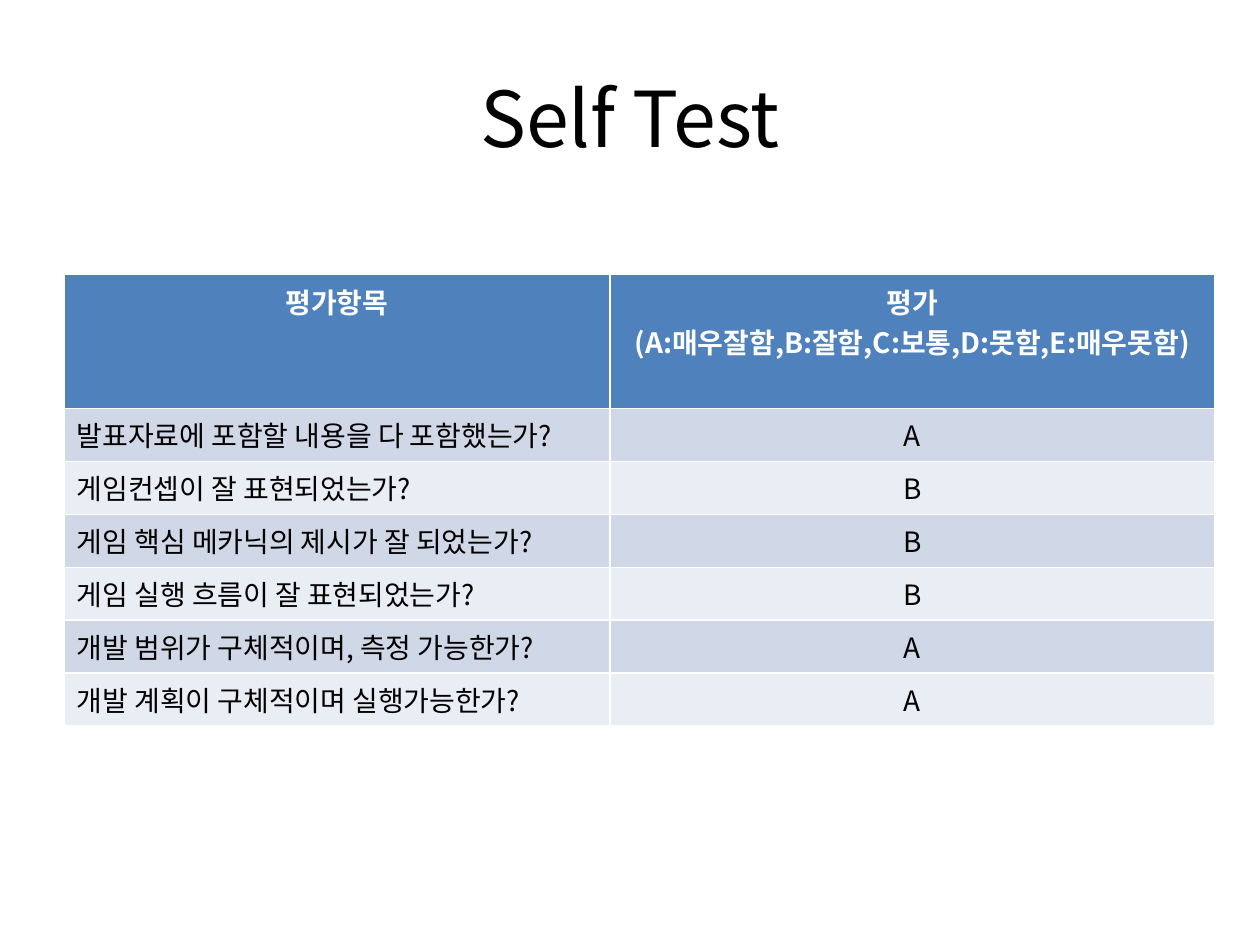
from pptx import Presentation
from pptx import util as u
from pptx.dml.color import RGBColor
from pptx.enum import text
from lxml import etree

BLACK = RGBColor(0x00, 0x00, 0x00)
WHITE = RGBColor(0xFF, 0xFF, 0xFF)
BLUE = RGBColor(0x4F, 0x81, 0xBD)
BANDS = [RGBColor(0xD0, 0xD8, 0xE8), RGBColor(0xE9, 0xED, 0xF4)]
FONT = "Noto Sans CJK KR"
NS = "http://schemas.openxmlformats.org/drawingml/2006/main"
LEFT = text.PP_ALIGN.LEFT
CENTER = text.PP_ALIGN.CENTER


class Deck:
    def __init__(self, deck):
        self.slide = deck.slides.add_slide(deck.slide_layouts[5])

    def label(self, frame, words, size, color, align, bold=False):
        frame.text = words
        for para in frame.paragraphs:
            para.alignment = align
            font = para.font
            font.size = u.Pt(size)
            font.bold = bold
            font.color.rgb = color
            font.name = FONT
            for props in para._p.iter("{%s}defRPr" % NS):
                etree.SubElement(props, "{%s}ea" % NS, typeface=FONT)

    def title(self, words, box):
        title = self.slide.shapes.title
        title.left, title.top, title.width, title.height = map(u.Inches, box)
        title.text_frame.vertical_anchor = text.MSO_ANCHOR.MIDDLE
        self.label(title.text_frame, words, 44, BLACK, CENTER)

    def table(self, rows, left, top, widths, height):
        table = self.slide.shapes.add_table(
            len(rows), len(widths), u.Inches(left), u.Inches(top),
            u.Inches(sum(widths)), u.Inches(height * len(rows))).table
        for col, width in zip(table.columns, widths):
            col.width = u.Inches(width)
        for r, row in enumerate(rows):
            table.rows[r].height = u.Inches(height)
            head = r == 0
            for c, words in enumerate(row):
                cell = table.cell(r, c)
                cell.fill.solid()
                cell.fill.fore_color.rgb = BLUE if head else BANDS[(r - 1) % 2]
                self.label(cell.text_frame, words, 16, WHITE if head else BLACK,
                           CENTER if head or c else LEFT, head)


deck = Presentation()
deck.slide_width = u.Inches(10)
deck.slide_height = u.Inches(7.5)

page = Deck(deck)
page.title("Self Test", (0.5, 0.3, 9, 1.25))
page.table([
    ("평가항목", "평가\n(A:매우잘함,B:잘함,C:보통,D:못함,E:매우못함)"),
    ("발표자료에 포함할 내용을 다 포함했는가?", "A"),
    ("게임컨셉이 잘 표현되었는가?", "B"),
    ("게임 핵심 메카닉의 제시가 잘 되었는가?", "B"),
    ("게임 실행 흐름이 잘 표현되었는가?", "B"),
    ("개발 범위가 구체적이며, 측정 가능한가?", "A"),
    ("개발 계획이 구체적이며 실행가능한가?", "A"),
], 0.51, 2.18, (4.33, 4.8), 0.41)

deck.save("out.pptx")
